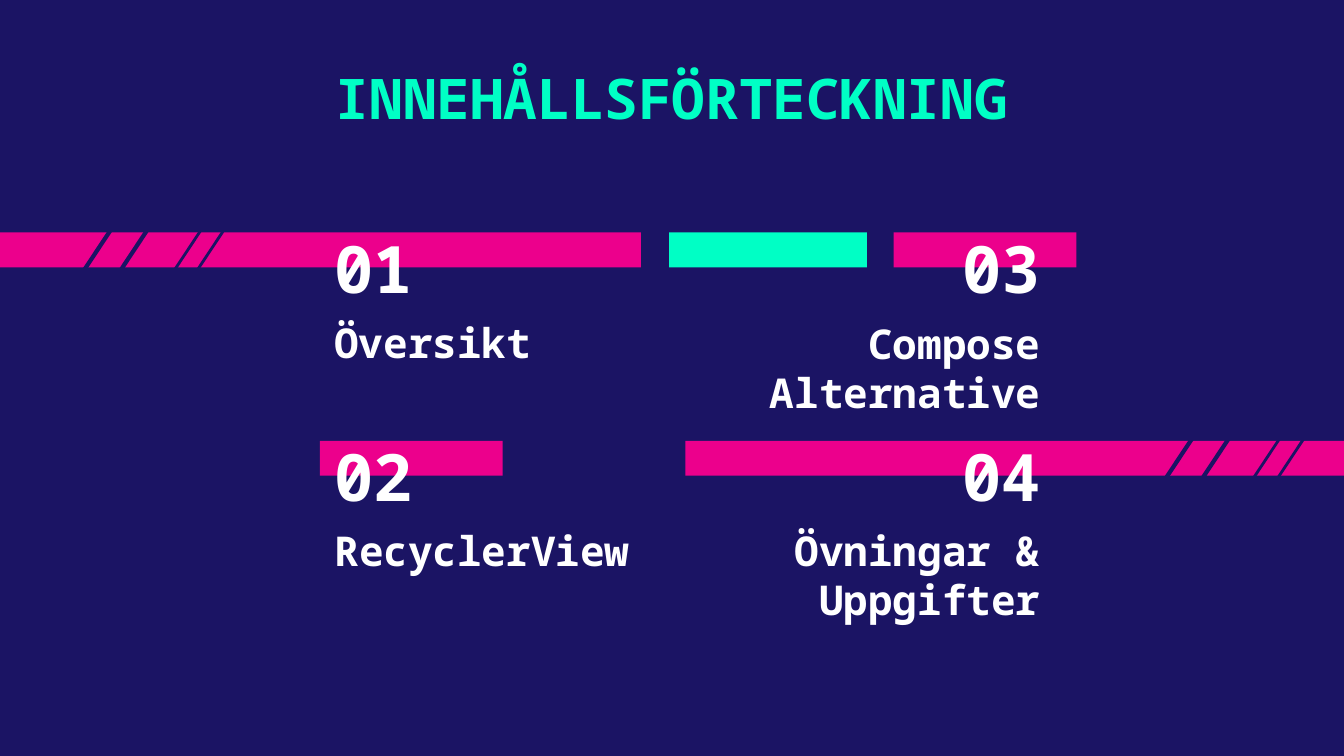
from lxml import etree
from pptx import Presentation
from pptx.dml.color import RGBColor
from pptx.enum.shapes import MSO_CONNECTOR, MSO_SHAPE
from pptx.enum.text import MSO_ANCHOR as Anchor, PP_ALIGN as Align
from pptx.oxml.ns import qn
from pptx.util import Inches, Pt

NAVY = RGBColor(0x1B, 0x14, 0x64)
PINK = RGBColor(0xEC, 0x00, 0x8C)
MINT = RGBColor(0x00, 0xFF, 0xC5)
WHITE = RGBColor(0xFF, 0xFF, 0xFF)
FONT = "Noto Sans Mono"

BAR_HEIGHT = 0.26
SLASH_RUN, SLASH_DROP = 0.57, 0.86
ROW_TOPS = (1.73, 3.28)


def add_text(page, box, text, size, color, align=Align.LEFT, anchor=Anchor.TOP, inset=0):
    shape = page.shapes.add_textbox(*map(Inches, box))
    frame = shape.text_frame
    frame.word_wrap = True
    frame.vertical_anchor = anchor
    frame.margin_left = frame.margin_right = Inches(0.1)
    frame.margin_top = frame.margin_bottom = Inches(inset)
    para = frame.paragraphs[0]
    para.alignment = align
    span = para.add_run()
    span.text = text
    span.font.name = FONT
    span.font.size = Pt(size)
    span.font.bold = True
    span.font.color.rgb = color


def add_bars(page, top, bars):
    """Draw one row of bars, each given as left, width and colour."""
    for left, width, color in bars:
        bar = page.shapes.add_shape(
            MSO_SHAPE.RECTANGLE, *map(Inches, (left, top, width, BAR_HEIGHT)))
        bar.shadow.inherit = False
        bar.fill.solid()
        bar.fill.fore_color.rgb = color
        bar.line.fill.background()


def add_slashes(page, left, top, slashes):
    """Cut slanted gaps into a bar, each given as offset x, offset y and weight."""
    for dx, dy, weight in slashes:
        x, y = left + dx, top + dy
        slash = page.shapes.add_connector(
            MSO_CONNECTOR.STRAIGHT, Inches(x), Inches(y),
            Inches(x - SLASH_RUN), Inches(y + SLASH_DROP))
        slash.line.color.rgb = NAVY
        slash.line.width = Pt(weight)
        etree.SubElement(slash._element.spPr, qn("a:effectLst"))


def add_entry(page, left, top, number, label, align, label_width=2.37, label_drop=0.63):
    """Place a number over its bar and the label below, both in one column."""
    width = 2.37
    add_text(page, (left, top + 0.29, width, 0.26), number, 35, WHITE, align, Anchor.BOTTOM)
    # A wider label keeps the edge it is aligned to
    label_left = left + width - label_width if align == Align.RIGHT else left
    add_text(page, (label_left, top + label_drop, label_width, 0.47), label, 22, WHITE, align)


def build_contents(page):
    page.background.fill.solid()
    page.background.fill.fore_color.rgb = NAVY
    upper, lower = ROW_TOPS

    # Bars
    add_bars(page, upper, [(0, 4.77, PINK), (4.98, 1.47, MINT), (6.65, 1.36, PINK)])
    add_bars(page, lower, [(2.38, 1.36, PINK), (5.1, 4.9, PINK)])

    # Title
    add_text(page, (1.4, 0.37, 7.2, 0.73), "INNEHÅLLSFÖRTECKNING", 30, MINT,
             Align.CENTER, inset=0.1)

    # Entries
    add_entry(page, 2.39, upper, "01", "Översikt", Align.LEFT)
    add_entry(page, 5.47, upper, "03", "Compose Alternative", Align.RIGHT,
              label_width=3.15, label_drop=0.64)
    add_entry(page, 2.39, lower, "02", "RecyclerView", Align.LEFT, label_width=3.38)
    add_entry(page, 5.47, lower, "04", "Övningar & Uppgifter", Align.RIGHT)

    # Slashes across the two long bars
    add_slashes(page, 1.03, upper, [
        (0, -0.33, 2.25), (0.16, -0.16, 2.25), (0.5, -0.07, 1.5), (0.67, -0.07, 1.5)])
    add_slashes(page, 9.25, lower, [
        (0, -0.59, 2.25), (0.16, -0.42, 2.25), (0.32, -0.09, 1.5), (0.5, -0.09, 1.5)])


def main():
    deck = Presentation()
    # Widescreen, 16 by 9
    deck.slide_width = Inches(10)
    deck.slide_height = deck.slide_width * 9 // 16
    build_contents(deck.slides.add_slide(deck.slide_layouts[6]))
    deck.save("out.pptx")


if __name__ == "__main__":
    main()
